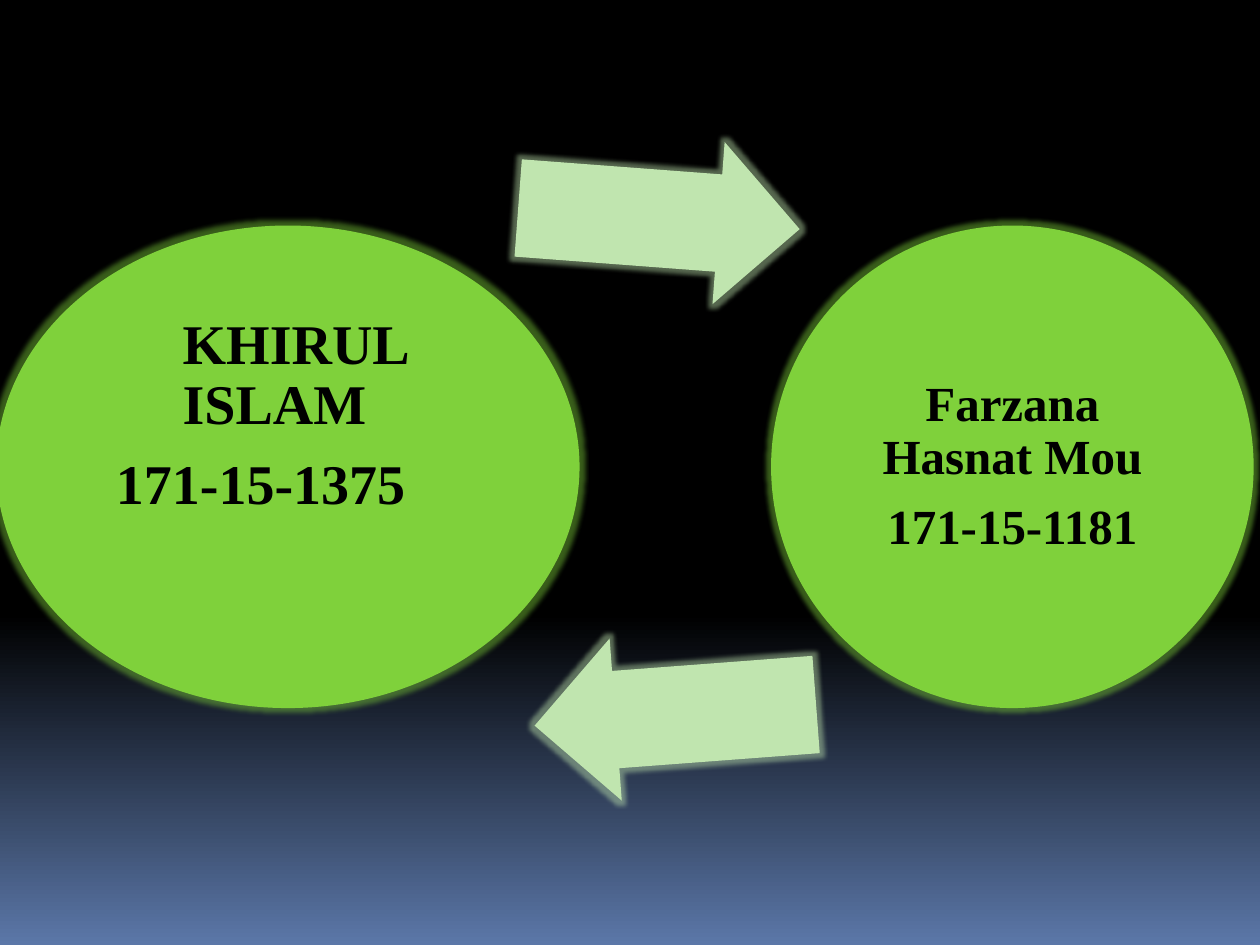
import dataclasses

import pptx
import pptx.dml.color
import pptx.enum.shapes
import pptx.enum.text
import pptx.oxml
import pptx.oxml.ns
import pptx.util

Inches = pptx.util.Inches
Pt = pptx.util.Pt
Align = pptx.enum.text.PP_ALIGN
Preset = pptx.enum.shapes.MSO_SHAPE


@dataclasses.dataclass(frozen=True)
class Theme:
    font: str = "Times New Roman"
    text: str = "000000"
    night: str = "000000"
    horizon: str = "5B77A8"
    circle: str = "7FD13B"
    arrow: str = "C0E5AF"
    large: int = 32
    medium: int = 28


THEME = Theme()


def rgb(color):
    return pptx.dml.color.RGBColor.from_string(color)


def paint_background(slide):
    fill = slide.background.fill
    fill.gradient()
    fill.gradient_angle = 270
    settings = ((0.65, THEME.night), (1, THEME.horizon))
    for stop, (position, color) in zip(fill.gradient_stops, settings):
        stop.position = position
        stop.color.rgb = rgb(color)


def add_glowing_shape(slide, preset, box, color):
    shape = slide.shapes.add_shape(preset, *(Inches(length) for length in box))
    shape.fill.solid()
    shape.fill.fore_color.rgb = rgb(color)
    shape.line.fill.background()
    # A soft rim in the shape's own colour
    shape.shadow.inherit = False
    effects = shape._element.spPr.find(pptx.oxml.ns.qn("a:effectLst"))
    effects.append(pptx.oxml.parse_xml(
        f'<a:glow {pptx.oxml.ns.nsdecls("a")} rad="63500">'
        f'<a:srgbClr val="{color}"><a:alpha val="45000"/></a:srgbClr></a:glow>'))
    return shape


def add_member(slide, circle_box, text_box, lines, size, align, name_indent=0):
    add_glowing_shape(slide, Preset.OVAL, circle_box, THEME.circle)
    label = slide.shapes.add_textbox(*(Inches(length) for length in text_box))
    frame = label.text_frame
    frame.word_wrap = True
    frame.vertical_anchor = pptx.enum.text.MSO_ANCHOR.MIDDLE
    frame.margin_left = frame.margin_right = Inches(0.04)
    frame.margin_top = frame.margin_bottom = Inches(0.04)
    for index, line in enumerate(lines):
        paragraph = frame.add_paragraph() if index else frame.paragraphs[0]
        paragraph.alignment = align
        paragraph.line_spacing = 0.9
        if index:
            paragraph.space_before = Pt(size * 0.35)
        elif name_indent:
            paragraph._p.get_or_add_pPr().set("marL", str(Inches(name_indent)))
        run = paragraph.add_run()
        run.text = line
        run.font.name = THEME.font
        run.font.size = Pt(size)
        run.font.bold = True
        run.font.color.rgb = rgb(THEME.text)


def add_arrow(slide, left, top, rotation):
    arrow = add_glowing_shape(
        slide, Preset.RIGHT_ARROW, (left, top, 2.24, 1.29), THEME.arrow)
    arrow.adjustments[0] = 0.6
    arrow.adjustments[1] = 0.5
    arrow.rotation = rotation


def main():
    presentation = pptx.Presentation()
    presentation.slide_width = Inches(10)
    presentation.slide_height = Inches(7.5)
    slide = presentation.slides.add_slide(presentation.slide_layouts[6])
    paint_background(slide)

    # Two members
    add_member(slide, (-0.03, 1.79, 4.63, 3.83), (0.88, 1.95, 2.8, 2.71),
               ("KHIRUL ISLAM", "171-15-1375"), THEME.large, Align.LEFT, 0.53)
    add_member(slide, (6.12, 1.79, 3.83, 3.83), (6.68, 2.35, 2.71, 2.71),
               ("Farzana Hasnat Mou", "171-15-1181"), THEME.medium, Align.CENTER)

    # Cycle arrows, there and back
    add_arrow(slide, 4.11, 1.09, 4.3)
    add_arrow(slide, 4.24, 5.03, 175.7)

    presentation.save("out.pptx")


if __name__ == "__main__":
    main()
